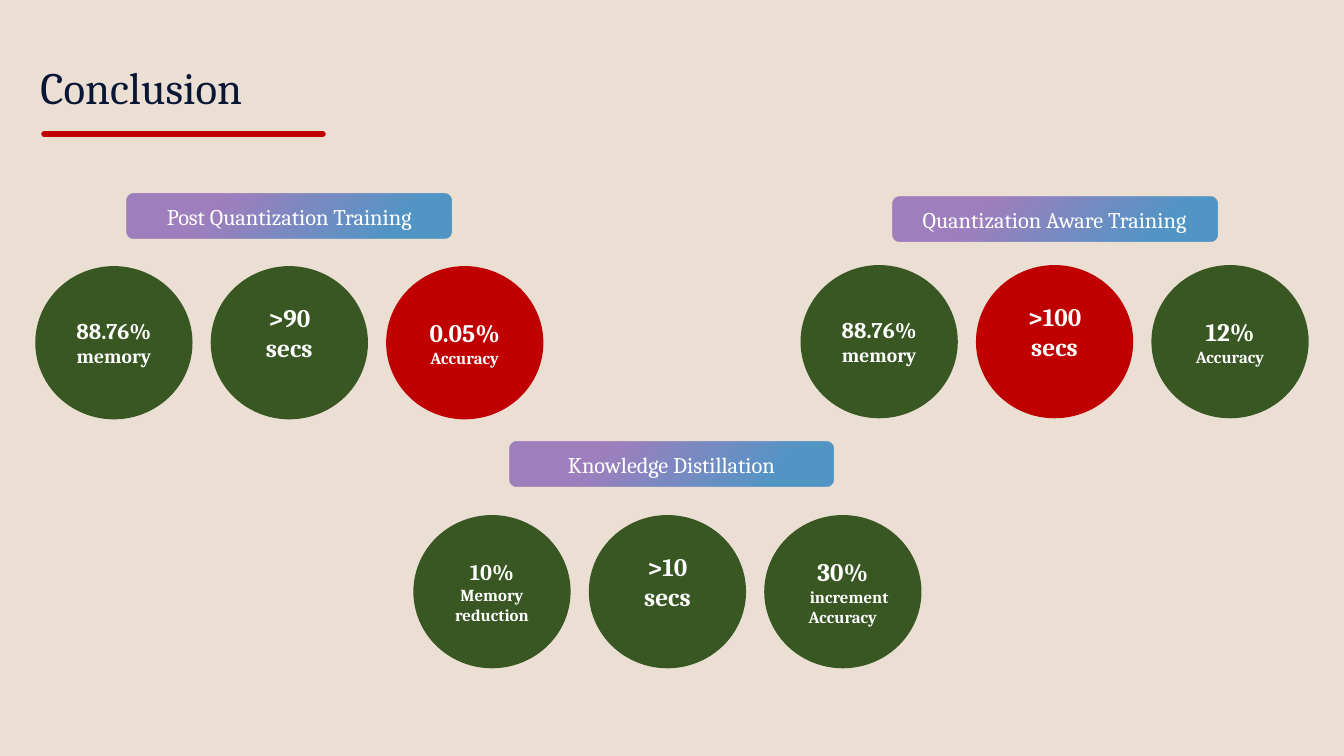
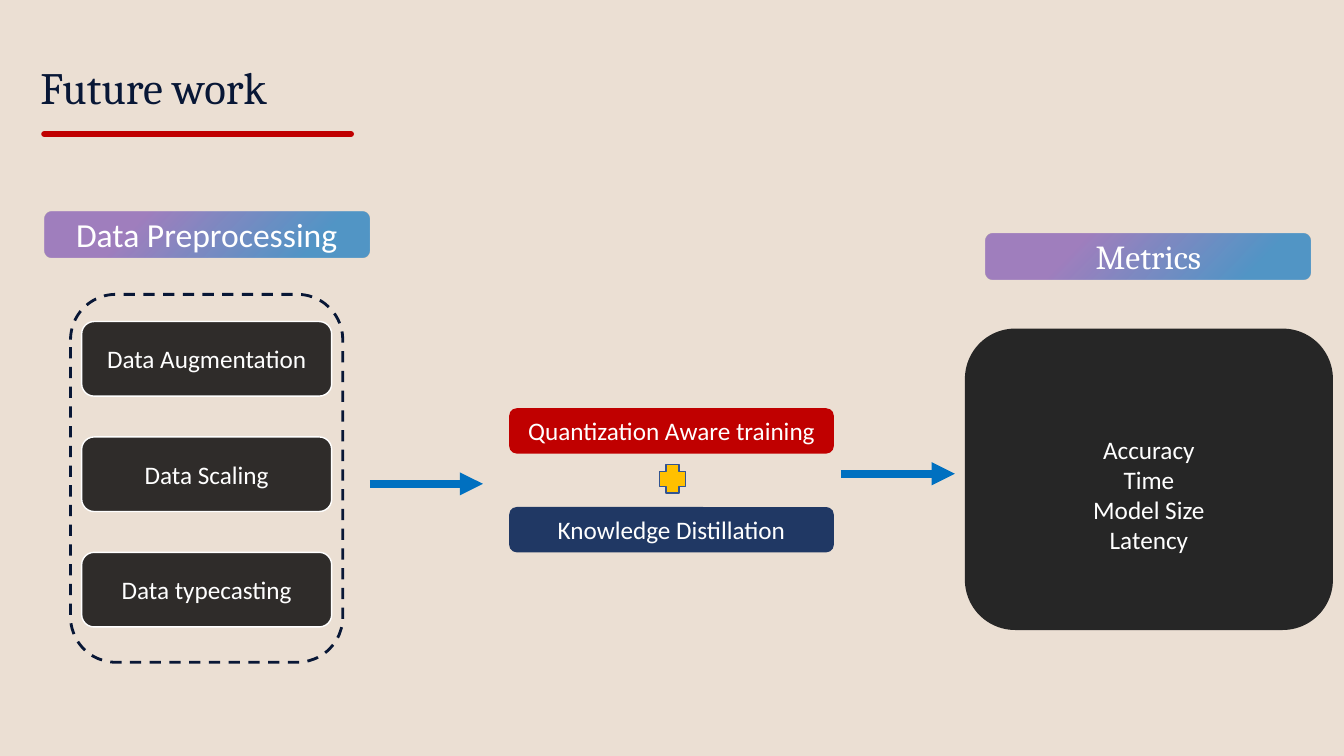
from lxml import etree
from pptx import Presentation
from pptx.dml.color import RGBColor
from pptx.enum.dml import MSO_LINE
from pptx.enum.shapes import MSO_CONNECTOR, MSO_SHAPE
from pptx.enum.text import MSO_ANCHOR, MSO_AUTO_SIZE, PP_ALIGN
from pptx.oxml import parse_xml
from pptx.oxml.ns import nsdecls, qn
from pptx.util import Inches, Pt

SAND = RGBColor(0xEB, 0xDF, 0xD3)
NAVY = RGBColor(0x08, 0x17, 0x36)
RED = RGBColor(0xC0, 0x00, 0x00)
GREEN = RGBColor(0x38, 0x57, 0x23)
BLUE = RGBColor(0x00, 0x70, 0xC0)
PURPLE = RGBColor(0x79, 0x4D, 0xB3)
INDIGO = RGBColor(0x20, 0x38, 0x64)
CHARCOAL = RGBColor(0x26, 0x26, 0x26)
GOLD = RGBColor(0xFF, 0xC0, 0x00)
STEEL = RGBColor(0x32, 0x54, 0x91)
BLACK = RGBColor(0x00, 0x00, 0x00)
WHITE = RGBColor(0xFF, 0xFF, 0xFF)
SERIF, SANS = "Cambria", "Calibri"

PILL_W, PILL_H = 3.22, 0.45
GRADIENT = (
    f'<a:gradFill {nsdecls("a")} rotWithShape="1"><a:gsLst>'
    f'<a:gs pos="18000"><a:srgbClr val="{BLUE}"><a:alpha val="65000"/></a:srgbClr></a:gs>'
    f'<a:gs pos="72000"><a:srgbClr val="{PURPLE}"><a:alpha val="65000"/></a:srgbClr></a:gs>'
    '</a:gsLst><a:path path="circle"><a:fillToRect l="100000" t="100000"/></a:path>'
    '</a:gradFill>'
)


def add_box(slide, kind, x, y, w, h, fill=None, lines=(), font=SANS, bold=False):
    """Preset shape with centred text; lines are (text, size); "gradient" is a fill."""
    s = slide.shapes.add_shape(kind, Inches(x), Inches(y), Inches(w), Inches(h))
    s.shadow.inherit = False
    s.line.fill.background()
    if fill == "gradient":
        s.fill.background()
        no_fill = s._element.spPr.find(qn("a:noFill"))
        s._element.spPr.replace(no_fill, parse_xml(GRADIENT))
    elif fill is None:
        s.fill.background()
    else:
        s.fill.solid()
        s.fill.fore_color.rgb = fill
    tf = s.text_frame
    tf.word_wrap = True
    tf.vertical_anchor = MSO_ANCHOR.MIDDLE
    for i, (text, size) in enumerate(lines):
        p = tf.add_paragraph() if i else tf.paragraphs[0]
        p.alignment = PP_ALIGN.CENTER
        r = p.add_run()
        r.text = text
        r.font.name = font
        r.font.size = Pt(size)
        r.font.bold = bold
        r.font.color.rgb = WHITE
    return s


def add_line(slide, x1, x2, y, color, width, arrow=False):
    """Horizontal line: round ends, or an arrowhead at its right end."""
    c = slide.shapes.add_connector(
        MSO_CONNECTOR.STRAIGHT, Inches(x1), Inches(y), Inches(x2), Inches(y))
    c.line.color.rgb = color
    c.line.width = Pt(width)
    ln = c.line._get_or_add_ln()
    if arrow:
        etree.SubElement(ln, qn("a:tailEnd"), type="triangle")
    else:
        ln.set("cap", "rnd")
    etree.SubElement(c._element.spPr, qn("a:effectLst"))


prs = Presentation()
prs.slide_width = Inches(13.33)
prs.slide_height = Inches(7.5)
bg = prs.slide_master.background.fill
bg.solid()
bg.fore_color.rgb = SAND

# Titles with a red rule below
slides = []
for text, width, rule_end in [("Conclusion", 2.48, 3.2), ("Future work", 2.65, 3.48)]:
    slide = prs.slides.add_slide(prs.slide_layouts[5])
    title = slide.shapes.title
    title.left, title.top = Inches(0.3), Inches(0.54)
    title.width, title.height = Inches(width), Inches(0.64)
    tf = title.text_frame
    tf.auto_size = MSO_AUTO_SIZE.NONE
    tf.vertical_anchor = MSO_ANCHOR.TOP
    p = tf.paragraphs[0]
    p.alignment = PP_ALIGN.LEFT
    r = p.add_run()
    r.text = text
    r.font.name = SERIF
    r.font.size = Pt(32)
    r.font.color.rgb = NAVY
    add_line(slide, 0.44, rule_end, 1.33, RED, 4.5)
    slides.append(slide)
conclusion, future = slides

# Conclusion: each method has a heading and three result circles
CIRCLE_W, CIRCLE_H, CIRCLE_STEP = 1.56, 1.52, 1.74
methods = [
    ("Post Quantization Training", 1.26, 1.92, 0.35, 2.64, [
        (GREEN, [("88.76%", 16), ("memory", 14)]),
        (GREEN, [(">90 secs", 18)]),
        (RED, [("0.05%", 18), ("Accuracy", 12)])]),
    ("Quantization Aware Training", 8.85, 1.95, 7.94, 2.63, [
        (GREEN, [("88.76%", 16), ("memory", 14)]),
        (RED, [(">100 secs", 18)]),
        (GREEN, [("12%", 18), ("Accuracy", 12)])]),
    ("Knowledge Distillation", 5.05, 4.38, 4.1, 5.11, [
        (GREEN, [("10%", 16), ("Memory", 12), ("reduction", 12)]),
        (GREEN, [(">10 secs", 18)]),
        (GREEN, [("30%", 18), ("increment", 12), ("Accuracy", 12)])]),
]
for name, pill_x, pill_y, circle_x, circle_y, results in methods:
    add_box(conclusion, MSO_SHAPE.ROUNDED_RECTANGLE, pill_x, pill_y, PILL_W, PILL_H,
            "gradient", [(name, 16)], SERIF)
    for i, (fill, lines) in enumerate(results):
        s = add_box(conclusion, MSO_SHAPE.OVAL, circle_x + i * CIRCLE_STEP, circle_y,
                    CIRCLE_W, CIRCLE_H, fill, lines, SERIF, bold=True)
        if len(lines) == 1:  # times sit a little above the middle
            s.text_frame.margin_bottom = Inches(0.25)
        for p in s.text_frame.paragraphs:
            if p.text == "increment":
                p.alignment = PP_ALIGN.RIGHT

# Future work: headings and model steps
for text, x, y, fill, size, font in [
    ("Data Preprocessing", 0.44, 2.1, "gradient", 24, SANS),
    ("Metrics", 9.78, 2.32, "gradient", 24, SERIF),
    ("Quantization Aware training", 5.05, 4.05, RED, 18, SANS),
    ("Knowledge Distillation", 5.05, 5.03, INDIGO, 18, SANS),
]:
    add_box(future, MSO_SHAPE.ROUNDED_RECTANGLE, x, y, PILL_W, PILL_H,
            fill, [(text, size)], font)

# Plus sign between the model steps
plus = add_box(future, MSO_SHAPE.CROSS, 6.54, 4.61, 0.26, 0.28, GOLD)
plus.line.color.rgb = STEEL
plus.line.width = Pt(1)

# Preprocessing steps in a dashed frame
frame = add_box(future, MSO_SHAPE.ROUNDED_RECTANGLE, 0.7, 2.92, 2.7, 3.65)
frame.line.color.rgb = NAVY
frame.line.width = Pt(2)
frame.line.dash_style = MSO_LINE.DASH
for i, text in enumerate(["Data Augmentation", "Data Scaling", "Data typecasting"]):
    s = add_box(future, MSO_SHAPE.ROUNDED_RECTANGLE, 0.81, 3.19 + i * 2.29 / 2,
                2.48, 0.74, BLACK, [(text, 18)])
    s.line.color.rgb = WHITE
    s.line.width = Pt(1)
    color = s._element.spPr.find(qn("a:solidFill")).find(qn("a:srgbClr"))
    etree.SubElement(color, qn("a:alpha"), val="80000")

# Metrics panel, its text slightly below the middle
metrics = [(text, 18) for text in ("Accuracy", "Time", "Model Size", "Latency")]
panel = add_box(future, MSO_SHAPE.ROUNDED_RECTANGLE, 9.57, 3.26, 3.65, 2.99,
                CHARCOAL, metrics)
panel.text_frame.margin_top = Inches(0.35)

# Arrows between the stages
add_line(future, 3.67, 4.79, 4.8, BLUE, 5.5, arrow=True)
add_line(future, 8.34, 9.47, 4.7, BLUE, 5.5, arrow=True)

prs.save("out.pptx")
